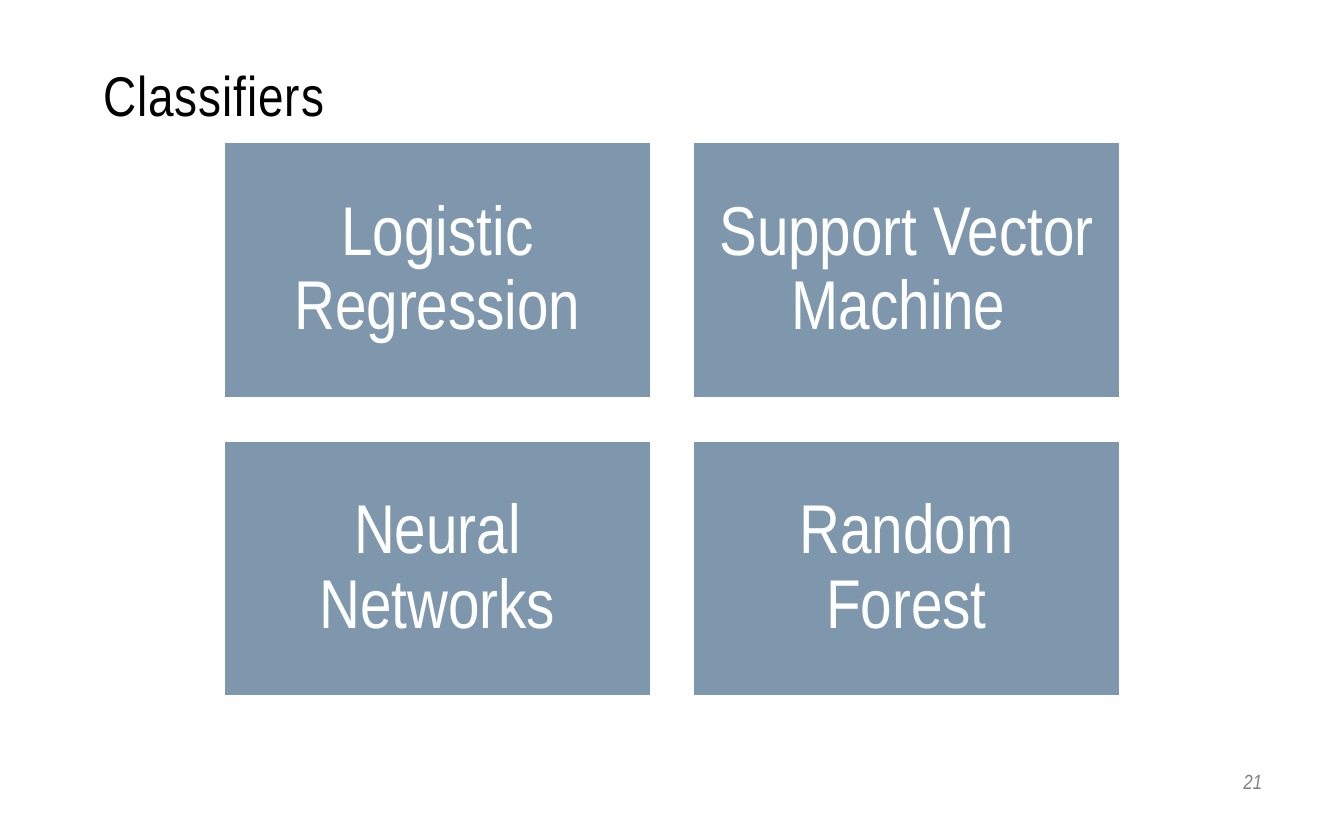
from pptx import Presentation
from pptx.dml.color import RGBColor
from pptx.enum.shapes import MSO_SHAPE
from pptx.enum.text import MSO_ANCHOR, PP_ALIGN
from pptx.util import Inches, Pt

RECTANGLE = MSO_SHAPE.RECTANGLE
MIDDLE, BOTTOM = MSO_ANCHOR.MIDDLE, MSO_ANCHOR.BOTTOM
LEFT, CENTER, RIGHT = PP_ALIGN.LEFT, PP_ALIGN.CENTER, PP_ALIGN.RIGHT

CLASSIFIERS = [
    "Logistic Regression",
    "Support Vector Machine ",
    "Neural Networks",
    "Random Forest",
]
COLUMNS = 2
GRID_LEFT, GRID_TOP = 1.67, 1.06
TILE_WIDTH, TILE_HEIGHT = 3.17, 1.9
GAP = 0.32


def color(hex_string):
    return RGBColor.from_string(hex_string)


class SlideBuilder:
    font = "Arial Narrow"
    tile_fill = "7E97AD"
    white = "FFFFFF"
    black = "000000"
    gray = "808080"

    def __init__(self, deck):
        self.page = deck.slides.add_slide(deck.slide_layouts[5])

    def set_text(self, box, text, size, text_color, alignment):
        box.text_frame.text = text
        box.text_frame.word_wrap = True
        para = box.text_frame.paragraphs[0]
        para.alignment = alignment
        span = para.runs[0]
        span.font.name = self.font
        span.font.size = Pt(size)
        span.font.color.rgb = color(text_color)
        return para

    def title(self, text, left, top, width, height):
        box = self.page.shapes.title
        box.left, box.top = Inches(left), Inches(top)
        box.width, box.height = Inches(width), Inches(height)
        para = self.set_text(box, text, 30, self.black, LEFT)
        box.text_frame.vertical_anchor = BOTTOM
        para.runs[0]._r.get_or_add_rPr().set("spc", "50")

    def tile(self, text, left, top):
        box = self.page.shapes.add_shape(
            RECTANGLE, Inches(left), Inches(top), Inches(TILE_WIDTH), Inches(TILE_HEIGHT)
        )
        box.shadow.inherit = False
        box.fill.solid()
        box.fill.fore_color.rgb = color(self.tile_fill)
        box.line.color.rgb = color(self.white)
        box.line.width = Pt(0.85)
        para = self.set_text(box, text, 37, self.white, CENTER)
        para.line_spacing = 0.9
        frame = box.text_frame
        frame.vertical_anchor = MIDDLE
        frame.margin_left = frame.margin_right = Inches(0.15)
        frame.margin_top = frame.margin_bottom = Inches(0.15)

    def page_number(self, text, left, top, width, height):
        box = self.page.shapes.add_textbox(
            Inches(left), Inches(top), Inches(width), Inches(height)
        )
        para = self.set_text(box, text, 11, self.gray, RIGHT)
        para.runs[0].font.italic = True


def main():
    deck = Presentation()
    deck.slide_width, deck.slide_height = Inches(10), Inches(6.25)
    builder = SlideBuilder(deck)
    builder.title("Classifiers", 0.67, 0.29, 8.67, 0.71)
    for index, name in enumerate(CLASSIFIERS):
        row, column = divmod(index, COLUMNS)
        builder.tile(
            name,
            GRID_LEFT + column * (TILE_WIDTH + GAP),
            GRID_TOP + row * (TILE_HEIGHT + GAP),
        )
    builder.page_number("21", 9.02, 5.67, 0.47, 0.29)
    deck.save("out.pptx")


if __name__ == "__main__":
    main()
